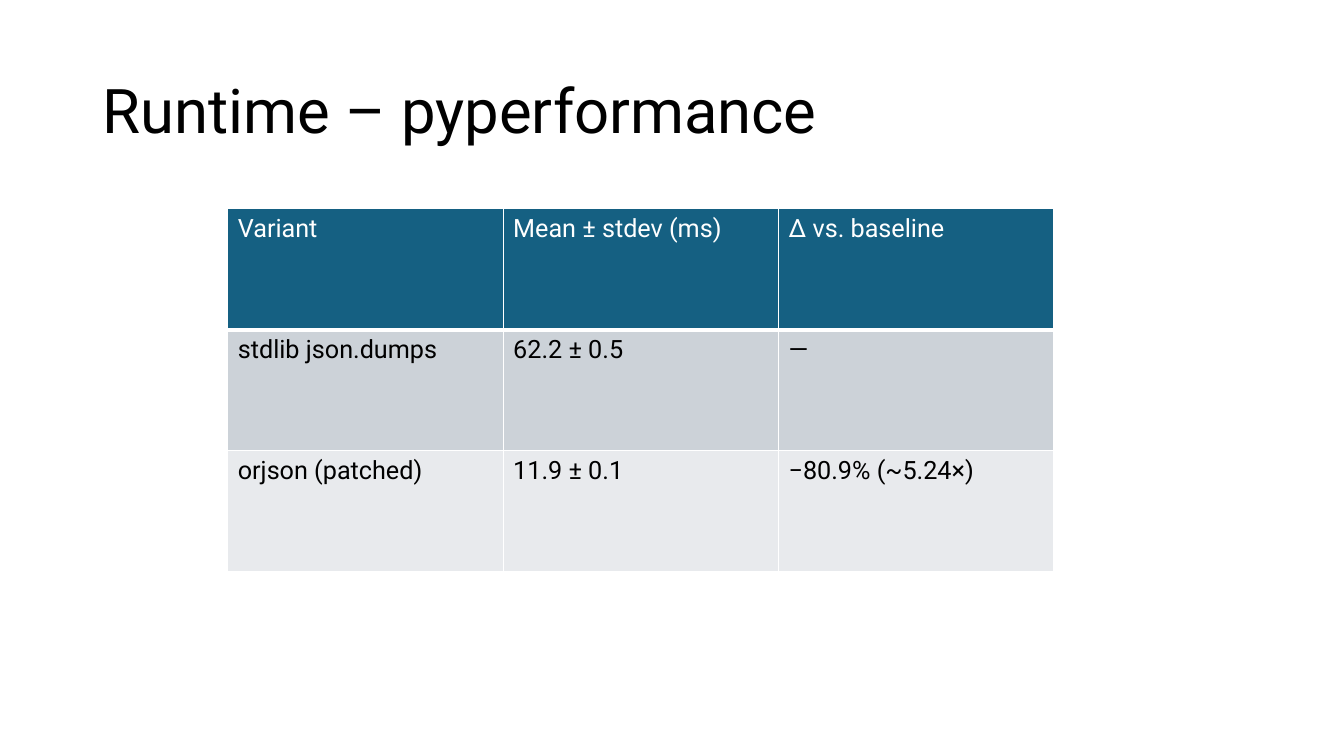
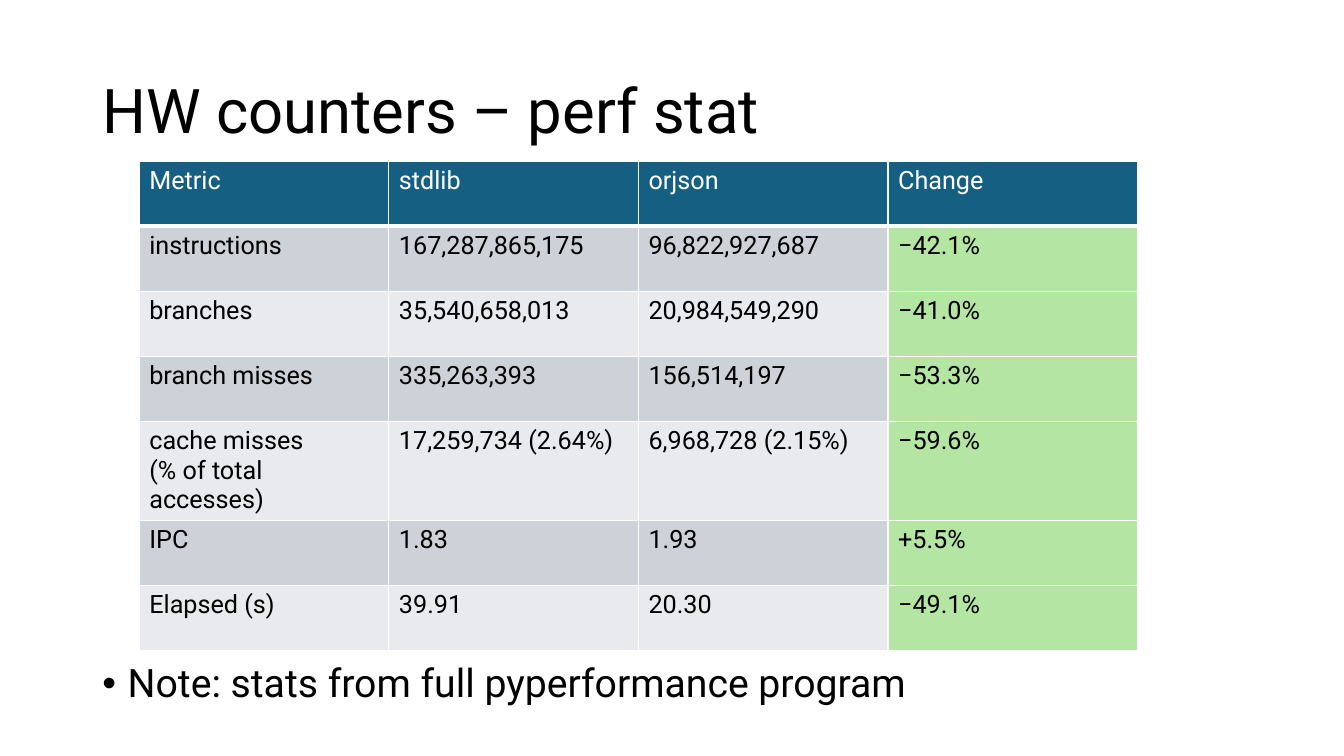
from lxml.etree import SubElement
from pptx import Presentation
from pptx.dml.color import RGBColor
from pptx.enum.text import MSO_ANCHOR as Anchor, MSO_AUTO_SIZE as AutoSize, PP_ALIGN as Align
from pptx.oxml.ns import qn
from pptx.util import Cm, Pt

BLACK = RGBColor(0x00, 0x00, 0x00)
WHITE = RGBColor(0xFF, 0xFF, 0xFF)
BLUE = RGBColor(0x15, 0x60, 0x82)
DARK_BAND = RGBColor(0xCC, 0xD2, 0xD8)
LIGHT_BAND = RGBColor(0xE8, 0xEA, 0xED)
GREEN = RGBColor(0xB4, 0xE5, 0xA2)
FONT = "Roboto"
TITLE_ONLY = 5
MARGIN, CONTENT_WIDTH = Cm(2.33), Cm(29.21)


def write(frame, text, size=18, color=BLACK, spacing=None, bullet=None):
    """Fill a text frame, one paragraph for each line of text."""
    frame.word_wrap = True
    for index, line in enumerate(text.split("\n")):
        para = frame.add_paragraph() if index else frame.paragraphs[0]
        para.alignment = Align.LEFT
        if spacing:
            para.line_spacing = spacing
        if bullet:
            props = para._p.get_or_add_pPr()
            props.set("marL", str(Cm(0.64)))
            props.set("indent", str(-Cm(0.64)))
            SubElement(props, qn("a:buFont"), typeface="Arial")
            SubElement(props, qn("a:buChar"), char=bullet)
        span = para.add_run()
        span.text = line
        span.font.name = FONT
        span.font.size = Pt(size)
        span.font.bold = False
        span.font.color.rgb = color


def set_borders(cell, bottom):
    """Draw white borders; the bottom one has its own width in points."""
    props = cell._tc.get_or_add_tcPr()
    for side, width in (("L", 1), ("R", 1), ("T", 1), ("B", bottom)):
        line = SubElement(props, qn(f"a:ln{side}"), w=str(Pt(width)))
        fill = SubElement(line, qn("a:solidFill"))
        SubElement(fill, qn("a:srgbClr"), val=str(WHITE))


class DeckBuilder:
    """Holds the deck, its style and the current slide."""

    def __init__(self):
        self.deck = Presentation()
        self.deck.slide_width, self.deck.slide_height = Cm(33.87), Cm(19.05)
        self.page = None

    def add_page(self, title):
        self.page = self.deck.slides.add_slide(self.deck.slide_layouts[TITLE_ONLY])
        box = self.page.shapes.title
        box.left, box.top, box.width, box.height = MARGIN, Cm(1.01), CONTENT_WIDTH, Cm(3.68)
        box.text_frame.auto_size = AutoSize.NONE
        box.text_frame.vertical_anchor = Anchor.MIDDLE
        write(box.text_frame, title, size=44, spacing=0.9)

    def add_table(self, rows, left, top, column_width, row_heights, highlight=None):
        """Add a banded table; highlight is the index of a green column."""
        columns = len(rows[0])
        table = self.page.shapes.add_table(
            len(rows), columns, left, top, column_width * columns, sum(row_heights)
        ).table
        table.horz_banding = False
        for column in table.columns:
            column.width = column_width
        for r, (values, height) in enumerate(zip(rows, row_heights)):
            table.rows[r].height = height
            header = r == 0
            band = BLUE if header else DARK_BAND if r % 2 else LIGHT_BAND
            for c, value in enumerate(values):
                cell = table.cell(r, c)
                set_borders(cell, bottom=3 if header else 1)
                cell.fill.solid()
                cell.fill.fore_color.rgb = GREEN if c == highlight and not header else band
                write(cell.text_frame, value, color=WHITE if header else BLACK)

    def add_note(self, text, top):
        box = self.page.shapes.add_textbox(MARGIN, top, CONTENT_WIDTH, Cm(1.4))
        write(box.text_frame, text, size=28, spacing=0.9, bullet="•")


RUNTIME = [
    ("Variant", "Mean ± stdev (ms)", "Δ vs. baseline"),
    ("stdlib json.dumps", "62.2 ± 0.5", "—"),
    ("orjson (patched)", "11.9 ± 0.1", "−80.9% (~5.24×)"),
]
COUNTERS = [
    ("Metric", "stdlib", "orjson", "Change"),
    ("instructions", "167,287,865,175", "96,822,927,687", "−42.1%"),
    ("branches", "35,540,658,013", "20,984,549,290", "−41.0%"),
    ("branch misses", "335,263,393", "156,514,197", "−53.3%"),
    ("cache misses\n(% of total accesses)", "17,259,734 (2.64%)", "6,968,728 (2.15%)", "−59.6%"),
    ("IPC", "1.83", "1.93", "+5.5%"),
    ("Elapsed (s)", "39.91", "20.30", "−49.1%"),
]


def main():
    builder = DeckBuilder()

    # Runtime comparison
    builder.add_page("Runtime – pyperformance")
    builder.add_table(RUNTIME, Cm(5.74), Cm(5.26), Cm(6.94), [Cm(3.05)] * len(RUNTIME))

    # Hardware counters, with a taller row where the metric wraps
    builder.add_page("HW counters – perf stat")
    heights = [Cm(2.26 if "\n" in row[0] else 1.64) for row in COUNTERS]
    builder.add_table(COUNTERS, Cm(3.51), Cm(4.06), Cm(6.29), heights, highlight=3)
    builder.add_note("Note: stats from full pyperformance program", Cm(16.6))

    builder.deck.save("out.pptx")


if __name__ == "__main__":
    main()
